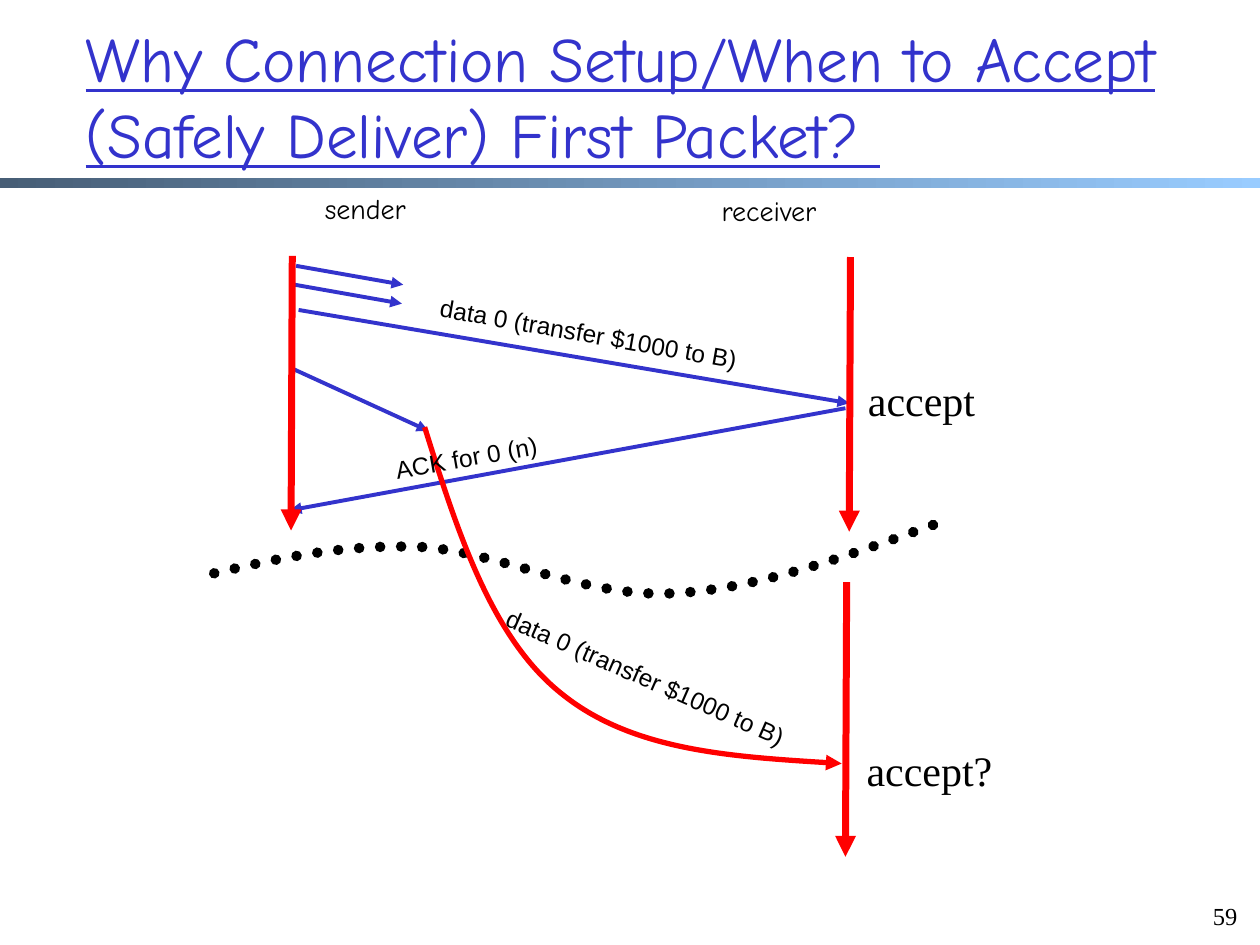
from lxml import etree
from pptx import Presentation
from pptx.dml.color import RGBColor
from pptx.enum import dml, shapes, text
from pptx.oxml import ns
from pptx.util import Inches, Pt

BLUE = RGBColor(0x33, 0x33, 0xCC)
RED = RGBColor(0xFF, 0x00, 0x00)
BLACK = RGBColor(0x00, 0x00, 0x00)
BAR_DARK = RGBColor(0x47, 0x5E, 0x76)
BAR_LIGHT = RGBColor(0x99, 0xCC, 0xFF)


def style_line(shape, color, width, arrow=True):
    shape.line.color.rgb = color
    shape.line.width = Pt(width)
    if arrow:
        outline = shape.line._get_or_add_ln()
        etree.SubElement(outline, ns.qn("a:tailEnd"), type="triangle")


def add_curve(page, points):
    """Draw cubic Bezier segments: a start point, then three points per segment."""
    vertices = [(Inches(x), Inches(y)) for x, y in points]
    builder = page.shapes.build_freeform(*vertices[0], scale=1.0)
    builder.add_line_segments(vertices[1:], close=False)
    curve = builder.convert_to_shape()
    curve.fill.background()
    curve.shadow.inherit = False
    outline = curve._element.find(".//" + ns.qn("a:path"))
    steps = outline.findall(ns.qn("a:lnTo"))
    for first in range(0, len(steps), 3):
        bezier = etree.SubElement(outline, ns.qn("a:cubicBezTo"))
        for step in steps[first:first + 3]:
            bezier.append(step[0])
            outline.remove(step)
    return curve


deck = Presentation()
deck.slide_width, deck.slide_height = Inches(10), Inches(7.5)
page = deck.slides.add_slide(deck.slide_layouts[5])

# Title and the bar below it
title = page.shapes.title
title.left, title.top = Inches(0.58), Inches(0.13)
title.width, title.height = Inches(9.04), Inches(1.25)
frame = title.text_frame
frame.auto_size = text.MSO_AUTO_SIZE.NONE
frame.vertical_anchor = text.MSO_ANCHOR.MIDDLE
para = frame.paragraphs[0]
para.alignment = text.PP_ALIGN.LEFT
span = para.add_run()
span.text = "Why Connection Setup/When to Accept (Safely Deliver) First Packet? "
span.font.name, span.font.size = "Comic Neue", Pt(36.1)
span.font.underline = True
span.font.color.rgb = BLUE

bar = page.shapes.add_shape(
    shapes.MSO_SHAPE.RECTANGLE, 0, Inches(1.41), deck.slide_width, Inches(0.08))
bar.shadow.inherit = False
bar.line.fill.background()
bar.fill.gradient()
bar.fill.gradient_angle = 0
for stop, position, color in zip(bar.fill.gradient_stops, (0, 1), (BAR_DARK, BAR_LIGHT)):
    stop.position = position
    stop.color.rgb = color

# Packets (blue) and timelines (red): start, end, colour, width
arrows = [
    ((2.37, 2.46), (6.74, 3.2), BLUE, 2.25),
    ((6.71, 3.24), (2.3, 4.05), BLUE, 2.25),
    ((2.35, 2.11), (3.2, 2.26), BLUE, 2.25),
    ((2.34, 2.26), (3.19, 2.41), BLUE, 2.25),
    ((2.33, 2.93), (3.4, 3.42), BLUE, 2.25),
    ((2.32, 2.03), (2.31, 4.21), RED, 4),
    ((6.75, 2.04), (6.74, 4.22), RED, 4),
    ((6.72, 4.62), (6.71, 6.8), RED, 4),
]
for start, end, color, width in arrows:
    arrow = page.shapes.add_connector(
        shapes.MSO_CONNECTOR.STRAIGHT, *map(Inches, start + end))
    style_line(arrow, color, width)
    etree.SubElement(arrow._element.spPr, ns.qn("a:effectLst"))

# Dotted break between the two sessions
session_break = add_curve(page, [
    (1.7, 4.55), (2.21, 4.43), (2.72, 4.32), (3.32, 4.34),
    (3.93, 4.37), (4.64, 4.74), (5.32, 4.71),
    (6.01, 4.68), (6.73, 4.41), (7.45, 4.15)])
style_line(session_break, BLACK, 6, arrow=False)
session_break.line.dash_style = dml.MSO_LINE.ROUND_DOT
session_break.line._get_or_add_ln().set("cap", "rnd")

# Delayed packet that arrives in the second session
delayed_packet = add_curve(page, [
    (3.37, 3.39), (3.63, 4.22), (3.9, 5.06), (4.45, 5.5),
    (5, 5.95), (5.84, 6.01), (6.68, 6.06)])
style_line(delayed_packet, RED, 3)

# Labels: wording, left, top, width, height, rotation, font, size
labels = [
    ("sender", 2.48, 1.47, 0.91, 0.37, 0, "Comic Neue", 16),
    ("receiver", 5.63, 1.49, 1.07, 0.37, 0, "Comic Neue", 16),
    ("ACK for 0 (n)", 3.02, 3.32, 2.99, 0.33, 350, "Arial", 14),
    ("data 0 (transfer $1000 to B)", 3.38, 2.48, 2.59, 0.34, 10, "Arial", 14),
    ("data 0 (transfer $1000 to B)", 3.83, 5.21, 2.59, 0.34, 23.8, "Arial", 14),
    ("accept", 6.79, 2.92, 1.05, 0.5, 0, "Times New Roman", 24),
    ("accept?", 6.78, 5.86, 1.2, 0.5, 0, "Times New Roman", 24),
    ("59", 9.46, 7.05, 0.46, 0.38, 0, "Times New Roman", 14),
]
for wording, left, top, width, height, rotation, font, size in labels:
    box = page.shapes.add_textbox(*map(Inches, (left, top, width, height)))
    box.rotation = rotation
    frame = box.text_frame
    frame.word_wrap = wording in ("ACK for 0 (n)", "59")
    para = frame.paragraphs[0]
    if wording == "59":
        frame.vertical_anchor = text.MSO_ANCHOR.BOTTOM
        para.alignment = text.PP_ALIGN.RIGHT
    span = para.add_run()
    span.text = wording
    span.font.name, span.font.size = font, Pt(size)
    span.font.color.rgb = BLACK

deck.save("out.pptx")
